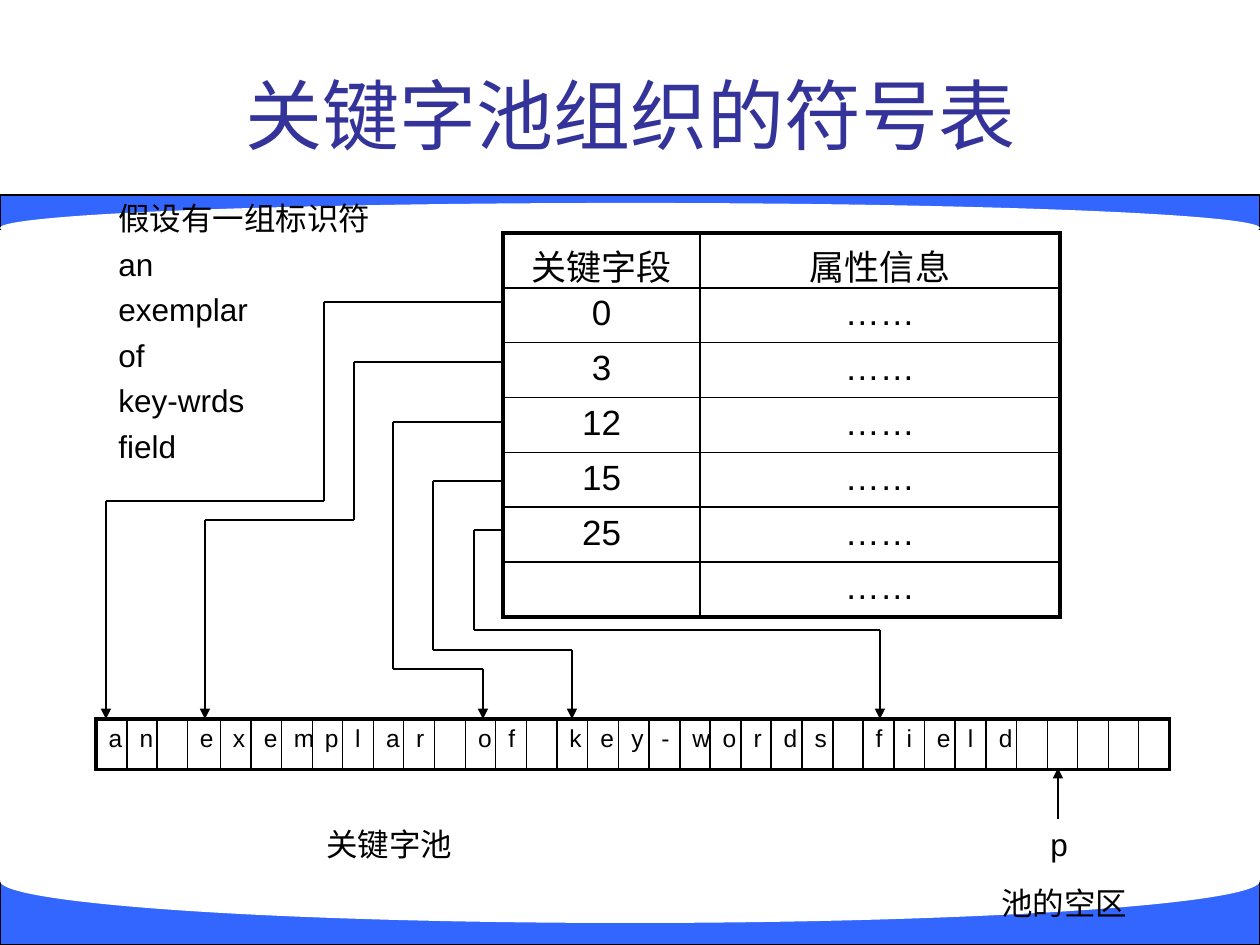
import pptx
import pptx.dml.color
import pptx.enum.shapes
import pptx.enum.text
import pptx.oxml
import pptx.oxml.ns
import pptx.util
from dataclasses import dataclass
from typing import Optional

EMU_PER_PX = 914400 / 126
BLACK, WHITE, BLUE, INDIGO = "000000", "FFFFFF", "3366FF", "333399"
SHAPE = pptx.enum.shapes.MSO_SHAPE
ALIGN = pptx.enum.text.PP_ALIGN
ANCHOR = pptx.enum.text.MSO_ANCHOR
THIN, THICK = 1, 2.25


@dataclass
class Box:
    x: int
    y: int
    w: int
    h: int


@dataclass
class Band:
    box: Box
    shape: int
    fill: str
    line: Optional[str] = None


@dataclass
class Label:
    box: Box
    lines: list[str]
    size: int = 18
    color: str = BLACK
    align: int = ALIGN.LEFT
    anchor: int = ANCHOR.TOP
    wrap: bool = False


@dataclass
class Pointer:
    start_y: int
    bend_x: int
    level_y: int
    target_x: int


def px(n: int) -> int:
    return round(n * EMU_PER_PX)


def frame(box: Box) -> tuple[int, ...]:
    return px(box.x), px(box.y), px(box.w), px(box.h)


def rgb(color: str) -> pptx.dml.color.RGBColor:
    return pptx.dml.color.RGBColor.from_string(color)


def spread(total: int, n: int) -> list[int]:
    edges = [round(i * total / n) for i in range(n + 1)]
    return [b - a for a, b in zip(edges, edges[1:])]


def add_run(p, text: str, size: int, color: str) -> None:
    r = p.add_run()
    r.text = text
    r.font.size = pptx.util.Pt(size)
    r.font.name = "Arial"
    r.font.color.rgb = rgb(color)


def add_band(s, band: Band) -> None:
    sp = s.shapes.add_shape(band.shape, *frame(band.box))
    sp.shadow.inherit = False
    sp.fill.solid()
    sp.fill.fore_color.rgb = rgb(band.fill)
    if band.line:
        sp.line.color.rgb = rgb(band.line)
        sp.line.width = pptx.util.Pt(0.75)
    else:
        sp.line.fill.background()


def add_label(s, label: Label) -> None:
    tf = s.shapes.add_textbox(*frame(label.box)).text_frame
    tf.word_wrap = label.wrap
    tf.vertical_anchor = label.anchor
    for i, line in enumerate(label.lines):
        p = tf.add_paragraph() if i else tf.paragraphs[0]
        p.alignment = label.align
        if i:
            p.space_before = pptx.util.Pt(4.4)
        add_run(p, line, label.size, label.color)


def add_line(s, x1: int, y1: int, x2: int, y2: int, arrow: bool = False) -> None:
    cx = s.shapes.add_connector(
        pptx.enum.shapes.MSO_CONNECTOR.STRAIGHT, px(x1), px(y1), px(x2), px(y2))
    cx.line.color.rgb = rgb(BLACK)
    cx.line.width = pptx.util.Pt(0.75)
    if arrow:
        ln = cx.line._get_or_add_ln()
        ln.append(pptx.oxml.parse_xml(
            f'<a:tailEnd {pptx.oxml.ns.nsdecls("a")} type="triangle"/>'))
    cx._element.spPr.append(pptx.oxml.parse_xml(
        f'<a:effectLst {pptx.oxml.ns.nsdecls("a")}/>'))


def add_border(cell, side: str, width: float) -> None:
    cell._tc.get_or_add_tcPr().append(pptx.oxml.parse_xml(
        f'<a:{side} {pptx.oxml.ns.nsdecls("a")} w="{pptx.util.Pt(width)}">'
        f'<a:solidFill><a:srgbClr val="{BLACK}"/></a:solidFill></a:{side}>'))


def add_grid(s, x: int, y: int, cols: list[int], rows: list[int],
             texts: list[list[str]], size: int, align: int) -> None:
    box = Box(x, y, sum(cols), sum(rows))
    table = s.shapes.add_table(len(rows), len(cols), *frame(box)).table
    table.first_row = table.horz_banding = False
    for col, w in zip(table.columns, cols):
        col.width = px(w)
    for row, h in zip(table.rows, rows):
        row.height = px(h)
    for i, line in enumerate(texts):
        for j, text in enumerate(line):
            cell = table.cell(i, j)
            outer = {"lnL": j == 0, "lnR": j == len(cols) - 1,
                     "lnT": i == 0, "lnB": i == len(rows) - 1}
            for side, thick in outer.items():
                add_border(cell, side, THICK if thick else THIN)
            cell.fill.background()
            p = cell.text_frame.paragraphs[0]
            p.alignment = align
            if text.strip():
                add_run(p, text, size, BLACK)


def add_pointer(s, pointer: Pointer, start_x: int, end_y: int) -> None:
    points = [(start_x, pointer.start_y), (pointer.bend_x, pointer.start_y),
              (pointer.bend_x, pointer.level_y),
              (pointer.target_x, pointer.level_y), (pointer.target_x, end_y)]
    for i, (a, b) in enumerate(zip(points, points[1:])):
        add_line(s, *a, *b, arrow=i == 3)


BANDS = [
    Band(Box(0, 195, 1260, 34), SHAPE.RECTANGLE, BLUE, BLACK),
    Band(Box(0, 203, 1260, 50), SHAPE.OVAL, WHITE),
    Band(Box(0, 881, 1260, 64), SHAPE.RECTANGLE, BLUE, BLACK),
    Band(Box(0, 839, 1260, 84), SHAPE.OVAL, WHITE),
]
LABELS = [
    Label(Box(64, 35, 1134, 158), ["关键字池组织的符号表"], 44, INDIGO,
          ALIGN.CENTER, ANCHOR.MIDDLE, True),
    Label(Box(106, 193, 378, 291),
          ["假设有一组标识符", "an", "exemplar", "of", "key-wrds", "field"], wrap=True),
    Label(Box(314, 819, 151, 50), ["关键字池"]),
    Label(Box(1038, 819, 43, 50), ["p"]),
    Label(Box(989, 878, 151, 50), ["池的空区"]),
]
POINTERS = [
    Pointer(302, 324, 501, 106),
    Pointer(362, 354, 520, 205),
    Pointer(422, 393, 669, 483),
    Pointer(481, 433, 650, 572),
    Pointer(530, 474, 630, 880),
]
SYMBOLS = [["关键字段", "属性信息"]] + [
    [offset, "……"] for offset in ("0", "3", "12", "15", "25", "")]
POOL = "an exemplar of key-words field".ljust(35)
TABLE_X, TABLE_Y, POOL_X, POOL_Y, POOL_H = 503, 233, 96, 719, 49


def main() -> None:
    prs = pptx.Presentation()
    prs.slide_width, prs.slide_height = px(1260), px(945)
    s = prs.slides.add_slide(prs.slide_layouts[6])
    for band in BANDS:
        add_band(s, band)
    for label in LABELS:
        add_label(s, label)
    add_grid(s, TABLE_X, TABLE_Y, [197, 360], spread(382, 7), SYMBOLS, 20, ALIGN.CENTER)
    add_grid(s, POOL_X, POOL_Y, [31, 30, 30, 33] + spread(948, 31), [POOL_H],
             [list(POOL)], 14, ALIGN.LEFT)
    for pointer in POINTERS:
        add_pointer(s, pointer, TABLE_X, POOL_Y)
    add_line(s, 1058, 819, 1058, POOL_Y + POOL_H, arrow=True)
    prs.save("out.pptx")


if __name__ == "__main__":
    main()
